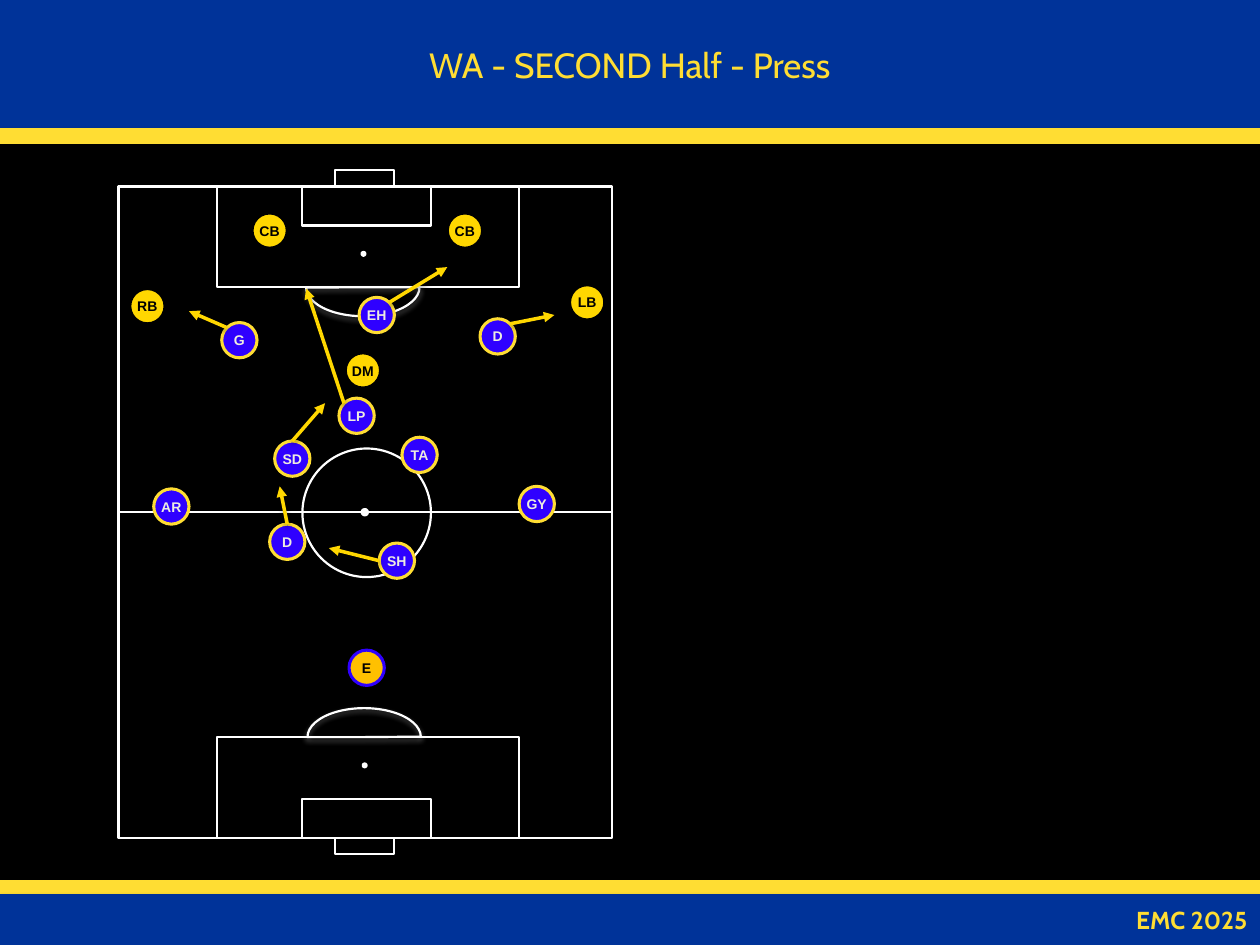
from dataclasses import dataclass
from lxml import etree
from pptx import Presentation
from pptx.dml.color import RGBColor
from pptx.enum.shapes import MSO_CONNECTOR, MSO_SHAPE
from pptx.enum.text import MSO_ANCHOR, PP_ALIGN
from pptx.oxml.ns import qn
from pptx.util import Pt

RECT, OVAL, PIE = MSO_SHAPE.RECTANGLE, MSO_SHAPE.OVAL, MSO_SHAPE.PIE
LINE = MSO_CONNECTOR.STRAIGHT
MIDDLE = MSO_ANCHOR.MIDDLE
CENTER, RIGHT = PP_ALIGN.CENTER, PP_ALIGN.RIGHT
SCALE = 9144


@dataclass(frozen=True)
class Theme:
    black: str = "000000"
    white: str = "FFFFFF"
    navy: str = "003399"
    yellow: str = "FFDD33"
    gold: str = "FFD700"
    amber: str = "FFC000"
    blue: str = "2F00FF"
    cream: str = "EEECE1"
    head: str = "Cabin"
    body: str = "Arial"
    title: int = 20
    foot: int = 14
    label: int = 8
    edge: float = 0.75
    chalk: float = 1.25
    ring: float = 1.75
    arrow: float = 2


T = Theme()
TEAM = (T.blue, T.yellow, T.cream)
KEEPER = (T.amber, T.blue, T.black)
RIVAL = (T.gold, T.black, T.black)

SQUAD = [
    ("SH", 207, 283, TEAM), ("E", 183, 368, KEEPER), ("D", 120, 268, TEAM),
    ("AR", 28, 240, TEAM), ("GY", 318, 238, TEAM), ("SD", 124, 202, TEAM),
    ("TA", 225, 199, TEAM), ("LP", 175, 168, TEAM), ("EH", 191, 88, TEAM),
    ("D", 287, 105, TEAM), ("G", 82, 108, TEAM),
    ("CB", 106, 21, RIVAL), ("RB", 9, 81, RIVAL), ("DM", 180, 132, RIVAL),
    ("CB", 261, 21, RIVAL), ("LB", 358, 78, RIVAL),
]
RUNS = [
    (179, 172, 149, 81), (134, 268, 128, 238), (138, 202, 164, 172),
    (207, 297, 167, 287), (215, 92, 261, 64), (86, 112, 56, 99),
    (311, 109, 346, 102),
]


def px(*vals):
    return [v * SCALE for v in vals]


def rgb(code):
    return RGBColor.from_string(code)


def apply(obj, form):
    for key, val in form.items():
        setattr(obj, key, val)


def shade(item, color=None, alpha=35, dist=1.8):
    fx = etree.SubElement(item._element.spPr, qn("a:effectLst"))
    if color:
        cast = etree.SubElement(fx, qn("a:outerShdw"), blurRad=str(Pt(3.1)),
                                dist=str(Pt(dist)), dir="5400000",
                                algn="t", rotWithShape="0")
        tint = etree.SubElement(cast, qn("a:srgbClr"), val=color)
        etree.SubElement(tint, qn("a:alpha"), val=str(alpha * 1000))


def stroke(item, color, width):
    item.line.color.rgb = rgb(color)
    item.line.width = Pt(width)


def draw(shapes, kind, box, fill, line, width, glow=None):
    item = shapes.add_shape(kind, *px(*box))
    if fill:
        item.fill.solid()
        item.fill.fore_color.rgb = rgb(fill)
    else:
        item.fill.background()
    stroke(item, line, width)
    shade(item, glow)
    return item


def write(item, text, align, color, form):
    frame = item.text_frame
    apply(frame, {"word_wrap": True, "vertical_anchor": MIDDLE})
    para = frame.paragraphs[0]
    para.alignment = align
    run = para.add_run()
    run.text = text
    apply(run.font, form)
    run.font.color.rgb = rgb(color)


def band(shapes, box, color):
    return draw(shapes, RECT, box, color, color, T.edge, T.black)


def frame(shapes, box):
    x, y, w, h = box
    top = band(shapes, (x, y, w, 102), T.navy)
    write(top, "WA - SECOND Half - Press", CENTER, T.yellow,
          {"name": T.head, "size": Pt(T.title), "bold": False})
    for gap in (h - 51, 102):
        band(shapes, (x, y + gap, w, 12), T.yellow)
    base = band(shapes, (x, y + h - 40, w, 40), T.navy)
    write(base, "EMC 2025", RIGHT, T.yellow,
          {"name": T.head, "size": Pt(T.foot), "bold": True})


def pitch(shapes, box):
    x, y, w, h = box
    group = shapes.add_group_shape().shapes

    def mark(kind, dx, dy, wide, high, fill=None, glow=None):
        area = (x + dx, y + dy, wide, high)
        return draw(group, kind, area, fill, T.white, T.chalk, glow)

    field = mark(RECT, 0, 0, w, h)
    half = group.add_connector(LINE, *px(x, y + h // 2, x + w, y + h // 2))
    half.begin_connect(field, 1)
    half.end_connect(field, 3)
    stroke(half, T.white, T.chalk)
    shade(half)
    mark(OVAL, 146, 208, 102, 102)
    for dx, dy, size in [(193, 256, 5), (193, 52, 3), (194, 458, 3)]:
        mark(OVAL, dx, dy, size, size, T.white)
    for dx, dy, wide, high in [(78, 0, 240, 80), (146, 0, 102, 31),
                               (172, -13, 47, 13)]:
        for top in (dy, h - dy - high):
            mark(RECT, dx, top, wide, high)
    for dx, dy, turn in [(149, 57, 0), (150, h - 103, 180)]:
        arc = mark(PIE, dx, dy, 90, 46, glow=T.white)
        arc.adjustments[0] = 0
        arc.adjustments[1] = 107.726
        arc.rotation = turn


def players(shapes, box):
    x, y = box[:2]
    inset = {"margin_left": 0, "margin_right": 0,
             "margin_top": 4 * SCALE, "margin_bottom": 4 * SCALE}
    for name, dx, dy, (fill, ring, ink) in SQUAD:
        disc = draw(shapes, OVAL, (x + dx, y + dy, 28, 28),
                    fill, ring, T.ring)
        apply(disc.text_frame, inset)
        write(disc, name, CENTER, ink,
              {"name": T.body, "size": Pt(T.label), "bold": True})


def arrows(shapes, box):
    x, y = box[:2]
    for ax, ay, bx, by in RUNS:
        path = shapes.add_connector(
            LINE, *px(x + ax, y + ay, x + bx, y + by))
        stroke(path, T.gold, T.arrow)
        ln = path._element.spPr.find(qn("a:ln"))
        etree.SubElement(ln, qn("a:tailEnd"), type="triangle")
        shade(path, T.black, 38, 1.6)


def main():
    deck = Presentation()
    deck.slide_width, deck.slide_height = px(1000, 750)
    slide = deck.slides.add_slide(deck.slide_layouts[6])
    back = slide.background.fill
    back.solid()
    back.fore_color.rgb = rgb(T.black)
    field = (94, 148, 392, 517)
    frame(slide.shapes, (0, 0, 1000, 750))
    for part in (pitch, players, arrows):
        part(slide.shapes, field)
    deck.save("out.pptx")


if __name__ == "__main__":
    main()
